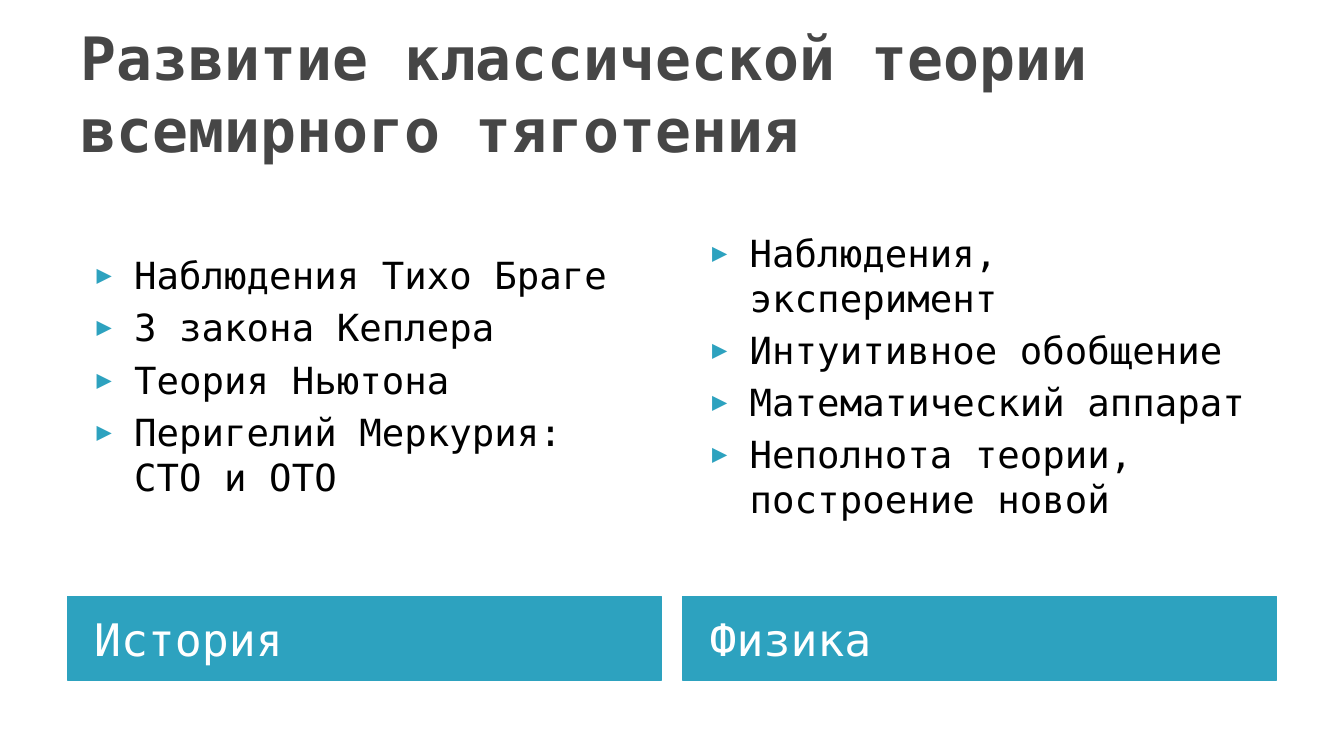
from lxml import etree
from pptx import Presentation, util as u
from pptx.dml.color import RGBColor
from pptx.enum import shapes, text
from pptx.oxml.ns import qn

WIDTH = 10
HEIGHT = WIDTH * 9 / 16
MARGIN, GAP = 0.5, 0.16
COLUMN = (WIDTH - 2 * MARGIN - GAP) / 2
ROWS = {"title": (0.22, 0.94), "list": (1.18, 3.23), "label": (4.44, 0.62)}
FONT = "DejaVu Sans Mono"
COLORS = {"title": "464646", "accent": "2DA2BF", "label": "FFFFFF", "body": "000000"}
FORMATS = {
    "title": {"size": u.Pt(32), "bold": True},
    "label": {"size": u.Pt(24), "bold": False},
    "body": {"size": u.Pt(20), "bold": False},
}
TOPICS = [
    ("История", ["Наблюдения Тихо Браге", "3 закона Кеплера", "Теория Ньютона",
                 "Перигелий Меркурия: СТО и ОТО"]),
    ("Физика", ["Наблюдения, эксперимент", "Интуитивное обобщение",
                "Математический аппарат", "Неполнота теории, построение новой"]),
]


def place(left, width, row):
    """Return the box of a row as lengths."""
    top, height = ROWS[row]
    return [u.Inches(value) for value in (left, top, width, height)]


def write(shape, lines, style, before=0, inset=0.1):
    """Fill a shape with one paragraph per line and return the paragraphs."""
    frame = shape.text_frame
    settings = {"word_wrap": True, "vertical_anchor": text.MSO_ANCHOR.MIDDLE,
                "margin_left": u.Inches(inset)}
    for name, value in settings.items():
        setattr(frame, name, value)
    frame.text = "\n".join(lines)
    for para in frame.paragraphs:
        para.alignment = text.PP_ALIGN.LEFT
        para.space_before = u.Pt(before)
        for span in para.runs:
            for name, value in {"name": FONT, **FORMATS[style]}.items():
                setattr(span.font, name, value)
            span.font.color.rgb = RGBColor.from_string(COLORS[style])
    return frame.paragraphs


def add_bullet(para):
    """Give a paragraph a hanging triangular bullet."""
    props = para._p.get_or_add_pPr()
    props.set("marL", str(u.Inches(0.4)))
    props.set("indent", str(u.Inches(-0.28)))
    color = etree.SubElement(props, qn("a:buClr"))
    etree.SubElement(color, qn("a:srgbClr"), val=COLORS["accent"])
    etree.SubElement(props, qn("a:buSzPct"), val="68000")
    etree.SubElement(props, qn("a:buFont"), typeface=FONT)
    etree.SubElement(props, qn("a:buChar"), char="▶")


def add_title(page, box):
    """Place the slide heading."""
    write(page.shapes.add_textbox(*box), ["Развитие классической теории всемирного тяготения"],
          "title")


def add_list(page, box, items):
    """Place a bulleted list."""
    for para in write(page.shapes.add_textbox(*box), items, "body", before=4):
        add_bullet(para)


def add_label(page, box, label):
    """Place the coloured bar that names a column."""
    bar = page.shapes.add_shape(shapes.MSO_SHAPE.RECTANGLE, *box)
    accent = RGBColor.from_string(COLORS["accent"])
    bar.shadow.inherit = False
    bar.fill.solid()
    bar.fill.fore_color.rgb = accent
    bar.line.color.rgb = accent
    bar.line.width = u.Pt(0.75)
    write(bar, [label], "label", before=4, inset=0.2)


def main():
    """Build and save the slide."""
    deck = Presentation()
    deck.slide_width, deck.slide_height = u.Inches(WIDTH), u.Inches(HEIGHT)
    page = deck.slides.add_slide(deck.slide_layouts[6])
    add_title(page, place(MARGIN, WIDTH - 2 * MARGIN, "title"))
    for index, (label, items) in enumerate(TOPICS):
        left = MARGIN + index * (COLUMN + GAP)
        add_label(page, place(left, COLUMN, "label"), label)
        add_list(page, place(left, COLUMN, "list"), items)
    deck.save("out.pptx")


if __name__ == "__main__":
    main()
